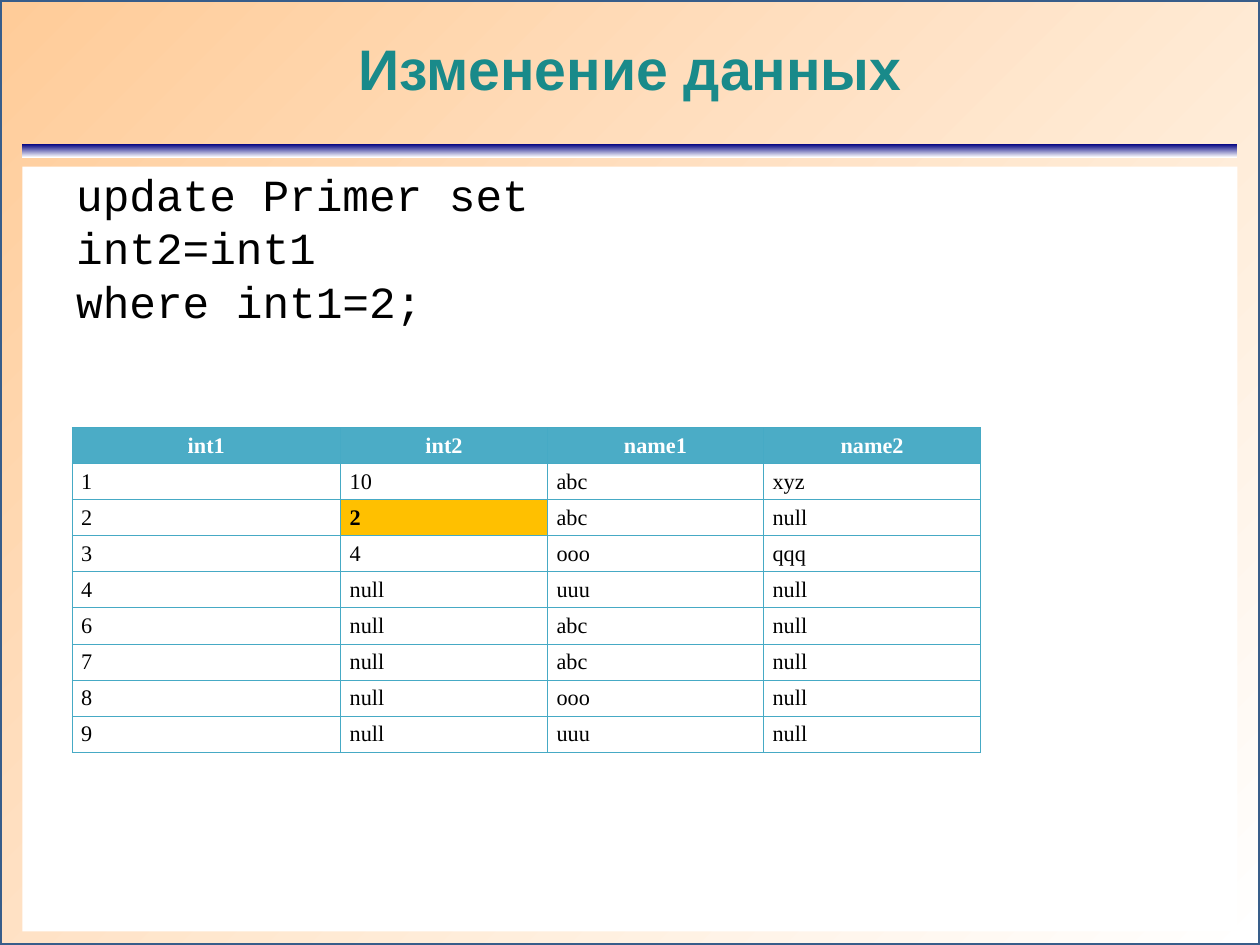
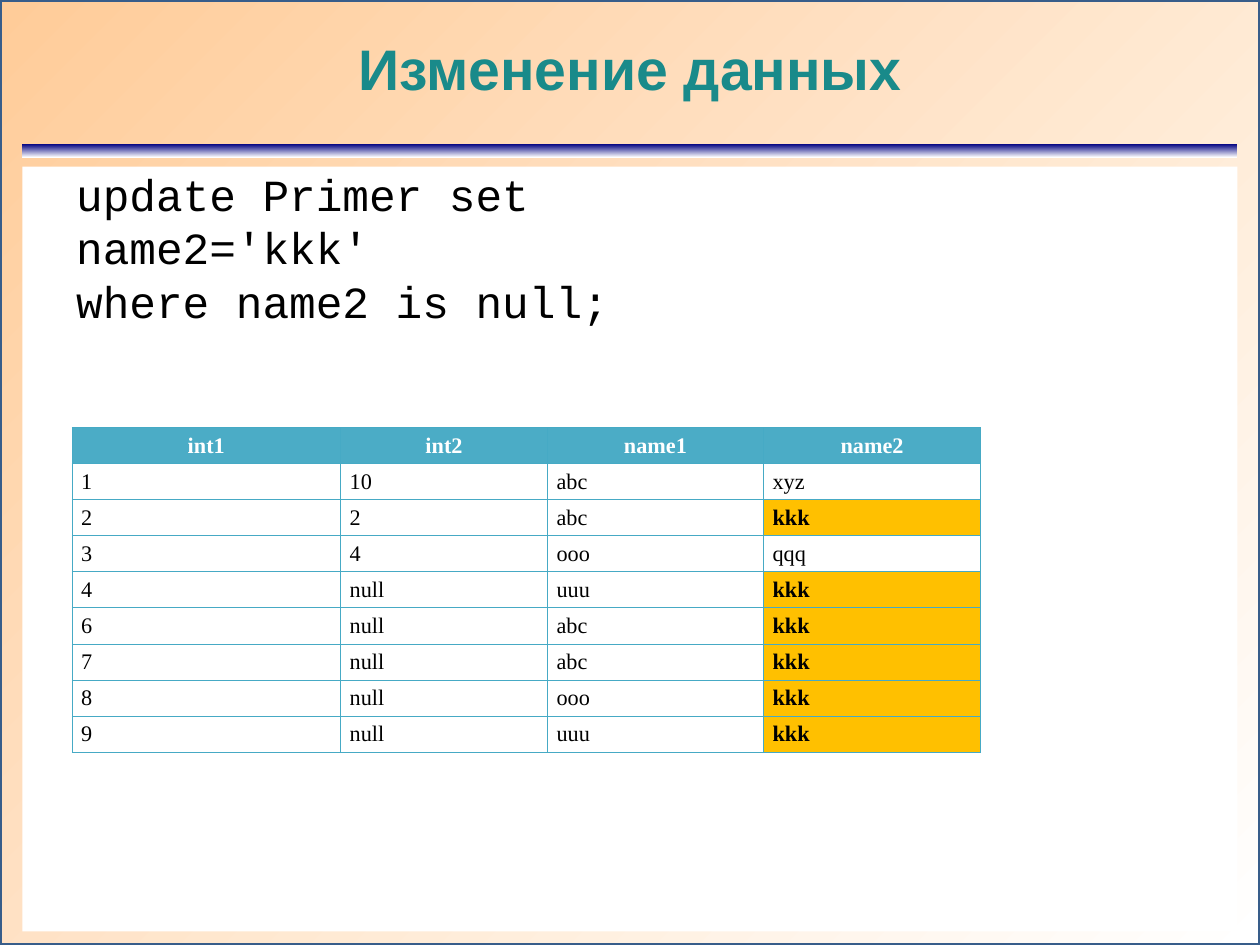
from lxml import etree
from pptx import Presentation
from pptx.dml.color import RGBColor
from pptx.enum.shapes import MSO_SHAPE
from pptx.enum.text import MSO_ANCHOR, MSO_AUTO_SIZE, PP_ALIGN as Align
from pptx.oxml.ns import qn
from pptx.util import Inches, Pt

# Content
TITLE = "Изменение данных"
HEADER = ("int1", "int2", "name1", "name2")
ROWS = [
    ("1", "10", "abc", "xyz"),
    ("2", "2", "abc", "null"),
    ("3", "4", "ooo", "qqq"),
    ("4", "null", "uuu", "null"),
    ("6", "null", "abc", "null"),
    ("7", "null", "abc", "null"),
    ("8", "null", "ooo", "null"),
    ("9", "null", "uuu", "null"),
]
# Each change maps (row, column) of ROWS to its highlighted value
SLIDES = [
    {
        "code": ["update Primer set", "int2=int1", "where int1=2;"],
        "changes": {(1, 1): "2"},
    },
    {
        "code": ["update Primer set", "name2='kkk'", "where name2 is null;"],
        "changes": {(r, 3): "kkk" for r, row in enumerate(ROWS) if row[3] == "null"},
    },
]

# Shared look: the page is laid out on a centimetre grid, given in inches
CM = 1 / 2.54
WIDTH, HEIGHT = 28 * CM, 21 * CM
LEFT, INNER_WIDTH = 0.5 * CM, 27 * CM
TITLE_BOX = (LEFT, 0.5 * CM, INNER_WIDTH, 2 * CM)
BAND_BOX = (LEFT, 3.2 * CM, INNER_WIDTH, 0.3 * CM)
BODY_BOX = (LEFT, 3.7 * CM, INNER_WIDTH, 17 * CM)
WHITE, BLACK, NAVY, PEACH = "FFFFFF", "000000", "000080", "FFCC99"
FRAME, TEAL = "385D8A", "198A8A"
HEAD_FILL, CHANGED_FILL, BORDER = "4BACC6", "FFC000", "46AAC5"
COLUMN_WIDTHS = (2.35, 1.81, 1.89, 1.9)
TABLE_LEFT, TABLE_TOP, TABLE_HEIGHT = 0.63, 3.74, 2.84


def rgb(value):
    return RGBColor.from_string(value)


def style_font(font, name, size, color, bold=False):
    font.name, font.size, font.bold = name, Pt(size), bold
    font.color.rgb = rgb(color)


def place(shape, box):
    shape.left, shape.top, shape.width, shape.height = map(Inches, box)


def add_gradient_box(page, box, colors, angle, line=None):
    shape = page.shapes.add_shape(MSO_SHAPE.RECTANGLE, *map(Inches, box))
    shape.shadow.inherit = False
    shape.fill.gradient()
    shape.fill.gradient_angle = angle
    for stop, color in zip(shape.fill.gradient_stops, colors):
        stop.color.rgb = rgb(color)
    if line:
        shape.line.color.rgb = rgb(line)
        shape.line.width = Pt(2)
    else:
        shape.line.fill.background()
    return shape


def decorate_master(deck, page):
    """Build the frame and the band, then move them to the back of the master."""
    parts = [
        add_gradient_box(page, (0, 0, WIDTH, HEIGHT), (WHITE, PEACH), 135, FRAME),
        add_gradient_box(page, BAND_BOX, (NAVY, WHITE), 270),
    ]
    for number, part in enumerate(parts):
        part.element.xpath("./p:nvSpPr/p:cNvPr")[0].set("id", str(101 + number))
        deck.slide_master.shapes.element.insert(2 + number, part.element)


def clear_insets(frame):
    frame.margin_left = frame.margin_right = frame.margin_top = frame.margin_bottom = 0
    frame.word_wrap = True
    frame.auto_size = MSO_AUTO_SIZE.NONE


def fill_title(shape):
    frame = shape.text_frame
    frame.text = TITLE
    clear_insets(frame)
    frame.vertical_anchor = MSO_ANCHOR.MIDDLE
    para = frame.paragraphs[0]
    para.alignment = Align.CENTER
    style_font(para.runs[0].font, "Arial", 36, TEAL, True)


def fill_code(shape, lines):
    shape.fill.solid()
    shape.fill.fore_color.rgb = rgb(WHITE)
    frame = shape.text_frame
    frame.text = "\n".join(lines)
    clear_insets(frame)
    frame.vertical_anchor = MSO_ANCHOR.TOP
    for para in frame.paragraphs:
        props = para._p.get_or_add_pPr()
        props.set("marL", str(Inches(0.47)))
        props.set("indent", "0")
        etree.SubElement(props, qn("a:buNone"))
        para.space_before = Pt(0)
        para.line_spacing = Pt(33.7)
        style_font(para.runs[0].font, "Courier New", 28, BLACK)


def add_borders(cell):
    props = cell._tc.get_or_add_tcPr()
    for number, side in enumerate(("lnL", "lnR", "lnT", "lnB")):
        line = etree.Element(qn(f"a:{side}"), w=str(Pt(0.34)))
        fill = etree.SubElement(line, qn("a:solidFill"))
        etree.SubElement(fill, qn("a:srgbClr"), val=BORDER)
        props.insert(number, line)


def fill_cell(cell, text, fill, color, bold, alignment):
    cell.text = text
    cell.margin_left = cell.margin_right = Inches(0.08)
    cell.margin_top = cell.margin_bottom = Inches(0.05)
    cell.fill.solid()
    cell.fill.fore_color.rgb = rgb(fill)
    add_borders(cell)
    para = cell.text_frame.paragraphs[0]
    para.alignment = alignment
    style_font(para.runs[0].font, "Times New Roman", 14, color, bold)


def add_data_table(page, changes):
    table = page.shapes.add_table(
        len(ROWS) + 1, len(HEADER), Inches(TABLE_LEFT), Inches(TABLE_TOP),
        Inches(sum(COLUMN_WIDTHS)), Inches(TABLE_HEIGHT)).table
    table.horz_banding = False
    for column, width in zip(table.columns, COLUMN_WIDTHS):
        column.width = Inches(width)
    for c, name in enumerate(HEADER):
        fill_cell(table.cell(0, c), name, HEAD_FILL, WHITE, True, Align.CENTER)
    for r, row in enumerate(ROWS):
        for c, value in enumerate(row):
            changed = (r, c) in changes
            fill_cell(table.cell(r + 1, c), changes.get((r, c), value),
                      CHANGED_FILL if changed else WHITE, BLACK, changed,
                      Align.JUSTIFY if c == 3 else Align.LEFT)


def main():
    deck = Presentation()
    deck.slide_width, deck.slide_height = Inches(WIDTH), Inches(HEIGHT)
    layout = deck.slide_layouts[1]
    place(layout.placeholders[0], TITLE_BOX)
    place(layout.placeholders[1], BODY_BOX)
    for content in SLIDES:
        page = deck.slides.add_slide(layout)
        fill_title(page.shapes.title)
        fill_code(page.placeholders[1], content["code"])
        add_data_table(page, content["changes"])
    decorate_master(deck, deck.slides[0])
    deck.save("out.pptx")


if __name__ == "__main__":
    main()
